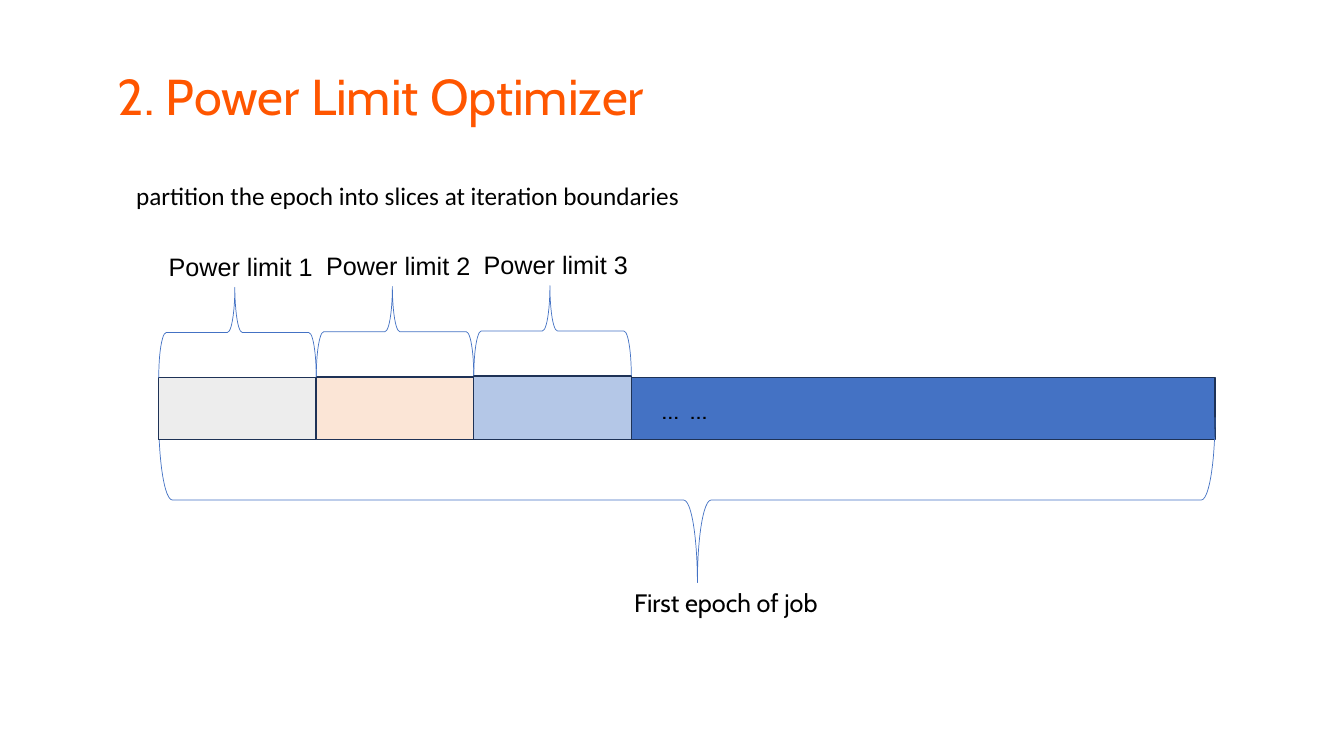
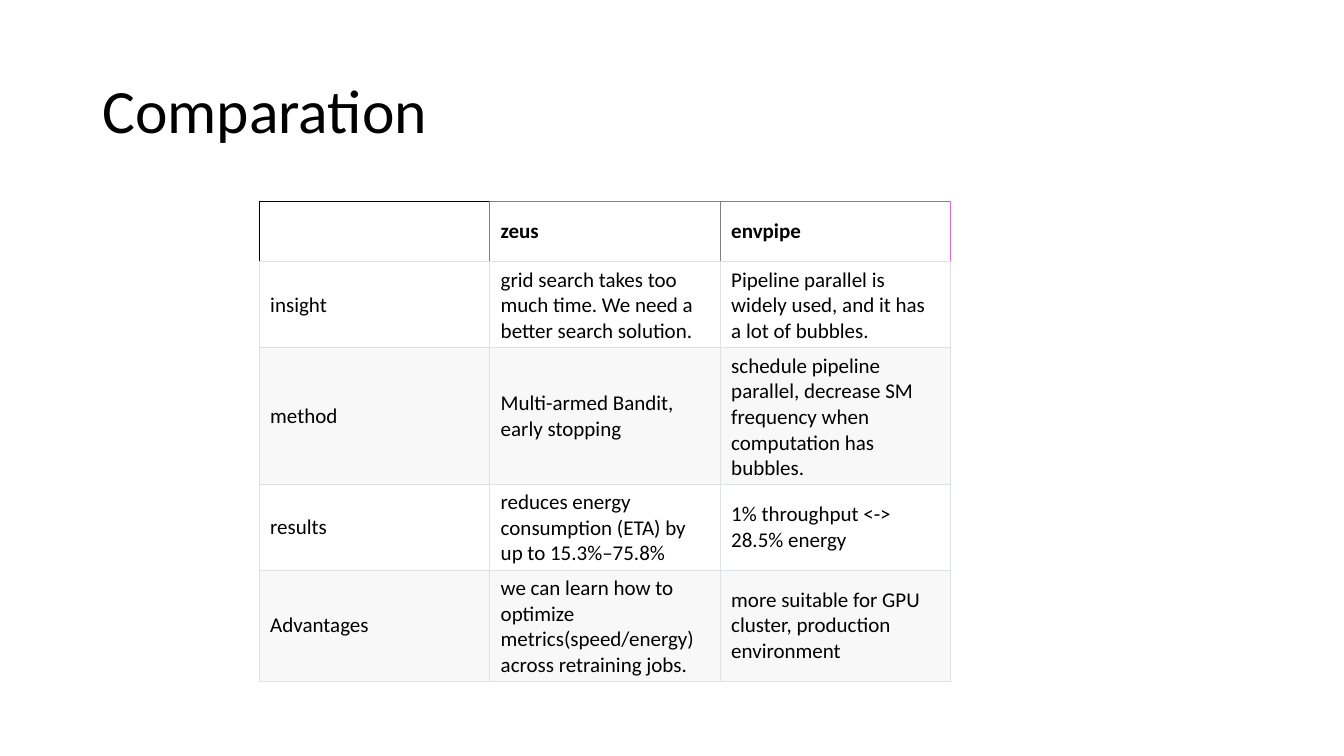
from lxml.etree import SubElement
from pptx import Presentation
from pptx.dml.color import RGBColor
from pptx.enum.shapes import MSO_SHAPE
from pptx.enum.text import MSO_ANCHOR
from pptx.oxml.ns import qn
from pptx.util import Cm, Pt

BLACK, WHITE, ORANGE = "000000", "FFFFFF", "FF5600"
BLUE, NAVY, STRIPE = "4472C4", "1E3256", "F8F8F8"
GRID, GREY, PINK = "DFE2E5", "808080", "E068D8"
HEADER_TOPS = [BLACK, GREY, GREY]
HEADER_SIDES = [BLACK, GREY, GREY, PINK]

SLICES = [
    ("Power limit 1", "EDEDED"),
    ("Power limit 2", "FBE5D6"),
    ("Power limit 3", "B4C7E7"),
]
COMPARISON = [
    (1.52, ["", "zeus", "envpipe"]),
    (2.16, ["insight",
            "grid search takes too much time. We need a better search solution.",
            "Pipeline parallel is widely used, and it has a lot of bubbles."]),
    (3.43, ["method",
            "Multi-armed Bandit, early stopping",
            "schedule pipeline parallel, decrease SM frequency when computation has bubbles."]),
    (2.16, ["results",
            "reduces energy consumption (ETA) by up to 15.3%–75.8%",
            "1% throughput <-> 28.5% energy"]),
    (2.79, ["Advantages",
            "we can learn how to optimize metrics(speed/energy) across retraining jobs.",
            "more suitable for GPU cluster, production environment"]),
]


def rgb(value):
    return RGBColor.from_string(value)


def style(paragraph, size, font, color=BLACK, bold=False):
    for run in paragraph.runs:
        run.font.size = Pt(size)
        run.font.name = font
        run.font.bold = bold
        run.font.color.rgb = rgb(color)


def add_label(slide, text, left, top, width=6.1, height=1.02, size=18, font="Cabin", color=BLACK):
    label = slide.shapes.add_textbox(Cm(left), Cm(top), Cm(width), Cm(height))
    frame = label.text_frame
    frame.word_wrap = True
    frame.text = text
    style(frame.paragraphs[0], size, font, color)
    return frame


def add_title(slide, text, left, top, size, font, color):
    frame = add_label(slide, text, left, top, 29.21, 3.68, size, font, color)
    frame.vertical_anchor = MSO_ANCHOR.MIDDLE
    frame.paragraphs[0].line_spacing = 0.9


def add_segment(slide, left, top, width, height, fill):
    segment = slide.shapes.add_shape(
        MSO_SHAPE.RECTANGLE, Cm(left), Cm(top), Cm(width), Cm(height))
    segment.shadow.inherit = False
    segment.fill.solid()
    segment.fill.fore_color.rgb = rgb(fill)
    segment.line.color.rgb = rgb(NAVY)
    segment.line.width = Pt(1)


def add_brace(slide, left, top, width, height, rotation, tip):
    brace = slide.shapes.add_shape(
        MSO_SHAPE.LEFT_BRACE,
        Cm(left + (width - height) / 2), Cm(top + (height - width) / 2),
        Cm(height), Cm(width))
    brace.rotation = rotation
    brace.adjustments[0] = 0.083
    brace.adjustments[1] = tip
    brace.shadow.inherit = False
    brace.fill.background()
    brace.line.color.rgb = rgb(BLUE)
    brace.line.width = Pt(0.5)


def add_epoch(slide, left, top, width, height):
    slice_width, brace_height, step = 3.97, 2.28, 0.02
    add_segment(slide, left, top, width, height, BLUE)
    add_brace(slide, left, top + 1, width, 4.16, 270, 0.51)
    add_label(slide, "First epoch of job", left + 11.73, top + 5.16)
    for index, (name, fill) in enumerate(SLICES):
        slice_left = left + index * slice_width
        rise = index * step
        slice_top = top - rise
        add_segment(slide, slice_left, slice_top, slice_width, height + rise, fill)
        add_brace(slide, slice_left, slice_top - brace_height,
                  slice_width, brace_height, 90, 0.517)
        add_label(slide, name, slice_left, slice_top - 3.31, font="Arial")
    add_label(slide, "…  …", left + len(SLICES) * slice_width + 0.52, top + 0.28)


def set_borders(cell, **colors):
    properties = cell._tc.get_or_add_tcPr()
    for side in "LRTB":
        border = SubElement(properties, qn(f"a:ln{side}"), w=str(Pt(0.75)))
        fill = SubElement(border, qn("a:solidFill"))
        SubElement(fill, qn("a:srgbClr"), val=colors.get(side, GRID))


def fill_cell(cell, text, fill, bold):
    cell.fill.solid()
    cell.fill.fore_color.rgb = rgb(fill)
    cell.vertical_anchor = MSO_ANCHOR.MIDDLE
    cell.margin_left = cell.margin_right = Cm(0.28)
    cell.margin_top = cell.margin_bottom = Cm(0.13)
    cell.text_frame.text = text
    style(cell.text_frame.paragraphs[0], 15, "Calibri", bold=bold)


def add_comparison(slide, left, top, width):
    columns = len(COMPARISON[0][1])
    height = sum(row_height for row_height, _ in COMPARISON)
    table = slide.shapes.add_table(
        len(COMPARISON), columns, Cm(left), Cm(top), Cm(width), Cm(height)).table
    table.first_row = table.horz_banding = False
    for column in table.columns:
        column.width = Cm(width / columns)
    for row, (row_height, texts) in enumerate(COMPARISON):
        table.rows[row].height = Cm(row_height)
        is_header = row == 0
        fill = STRIPE if row and row % 2 == 0 else WHITE
        for column, text in enumerate(texts):
            cell = table.cell(row, column)
            if is_header:
                set_borders(cell, L=HEADER_SIDES[column], R=HEADER_SIDES[column + 1],
                            T=HEADER_TOPS[column])
            else:
                set_borders(cell)
            fill_cell(cell, text, fill, is_header)


def build_optimizer(slide):
    add_title(slide, "2. Power Limit Optimizer", 2.72, 0.66, 36, "Cabin", ORANGE)
    add_label(slide, "partition the epoch into slices at iteration boundaries",
              3.18, 4.42, 16.94, font="Calibri")
    add_epoch(slide, 4, 9.52, 26.62, 1.56)


def build_comparison(slide):
    add_title(slide, "Comparation", 2.33, 1.02, 44, "Calibri", BLACK)
    add_comparison(slide, 6.53, 5.08, 17.43)


def main():
    deck = Presentation()
    deck.slide_width, deck.slide_height = Cm(33.87), Cm(19.05)
    blank = deck.slide_layouts[6]
    for build in (build_optimizer, build_comparison):
        build(deck.slides.add_slide(blank))
    deck.save("out.pptx")


if __name__ == "__main__":
    main()
